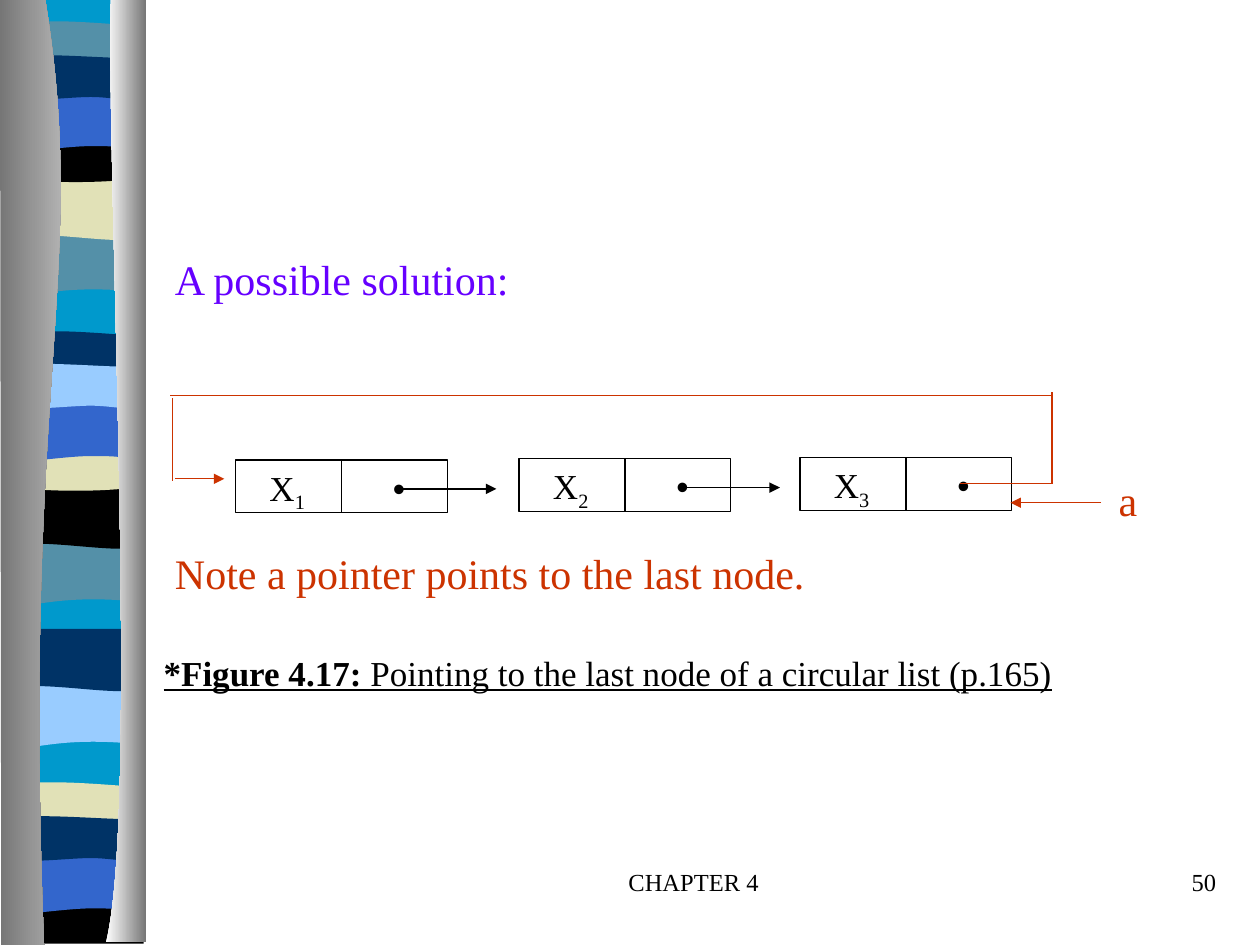
"""Build the slide on pointing to the last node of a circular list."""
from lxml.etree import SubElement
from pptx import Presentation
from pptx.dml.color import RGBColor
from pptx.enum.shapes import MSO_CONNECTOR, MSO_SHAPE
from pptx.enum.text import PP_ALIGN
from pptx.oxml.ns import qn
from pptx.util import Inches, Pt

COLORS = {
    "black": "000000", "red": "CC3300", "violet": "6600FF", "cyan": "0099CC",
    "teal": "5490A8", "sand": "E1E1B7", "blue": "3366CC", "navy": "003366",
    "sky": "99CCFF", "white": "FFFFFF", "gray": "767676", "silver": "CDCDCD",
}
SERIF = "Times New Roman"
LEFT, RIGHT = 0.06, 1.14

OUTLINES = {
    "backdrop": [(RIGHT, 0), (RIGHT, 7.48), (LEFT, 7.48), (LEFT, 0)],
    "swell": [(RIGHT, 0), (RIGHT, 0.47), (0.39, 0.39, 0.24, 0.55, LEFT, 0.47), (LEFT, 0)],
    "ripple": [(RIGHT, 0), (RIGHT, 0.47), (0.96, 0.55, 0.39, 0.41, LEFT, 0.47), (LEFT, 0)],
    "strip": [(RIGHT, 0.05), (RIGHT, 0.29), (0.96, 0.33, 0.24, 0.33, LEFT, 0.29), (LEFT, 0.05),
              (0.12, 0, 0.29, 0.01, 0.47, 0.01), (0.65, 0.01, 1, 0.04, RIGHT, 0.05)],
    "bowl": [(RIGHT, 0), (RIGHT, 0.32), (0.96, 0.38, 0.24, 0.38, LEFT, 0.32), (LEFT, 0),
             (0.72, 0.05, 0.91, 0, RIGHT, 0)],
    "floor": [(RIGHT, 0), (RIGHT, 0.37), (LEFT, 0.37), (LEFT, 0), (0.72, 0.05, 0.91, 0, RIGHT, 0)],
    "arch": [(RIGHT, 0), (RIGHT, 0.47), (0.97, 0.42, 0.9, 0.42, 0.72, 0.42),
             (0.54, 0.42, 0.22, 0.47, LEFT, 0.47), (LEFT, 0)],
    "wave": [(RIGHT, 0.05), (RIGHT, 0.36), (1.07, 0.41, 0.9, 0.36, 0.72, 0.36),
             (0.54, 0.36, 0.17, 0.41, LEFT, 0.36), (LEFT, 0.05),
             (0.21, 0, 0.79, 0.05, 0.97, 0.05), (1.15, 0.05, 1.1, 0.05, RIGHT, 0.05)],
    "left curtain": [(0.36, 0), (0.71, 2.17, 0.17, 2.97, 0.35, 7.5), (0.01, 7.5), (0, 0)],
    "right curtain": [(0.88, 0), (0.84, 1.26, 1.11, 6.47, 0.84, 7.48), (1.16, 7.48), (1.16, 0)],
}
BANDS = [
    ("backdrop", -0.01, "cyan"),
    ("swell", 1.85, "teal"), ("ripple", 1.41, "sand"), ("strip", 0.16, "teal"),
    ("bowl", 1.08, "black"), ("arch", 0.74, "blue"), ("wave", 0.41, "navy"),
    ("swell", 4.31, "teal"), ("ripple", 3.86, "black"), ("strip", 2.62, "navy"),
    ("bowl", 3.53, "sand"), ("arch", 3.2, "blue"), ("wave", 2.86, "sky"),
    ("swell", 5.44, "sky"), ("ripple", 4.99, "navy"), ("strip", 6.2, "sand"),
    ("floor", 7.12, "black"), ("arch", 6.79, "blue"), ("wave", 6.45, "navy"),
]
CURTAINS = [("left curtain", "gray", "silver"), ("right curtain", "white", "gray")]

NODES = [("1", 1.87, 3.65, True), ("2", 4.12, 3.64, True), ("3", 6.35, 3.63, False)]
NODE_WIDTH, NODE_HEIGHT = 1.68, 0.42
RED_LINES = [
    (7.62, 3.84, 8.35, 3.84, False), (8.35, 3.84, 8.35, 3.11, False),
    (8.35, 3.14, 1.35, 3.14, False), (1.37, 3.16, 1.37, 3.82, False),
    (1.39, 3.8, 1.78, 3.8, True), (8.74, 3.99, 8.02, 3.99, True),
]
TEXTS = [
    ((3.92, 6.83, 3.17, 0.5), "black", 14, PP_ALIGN.CENTER, [("CHAPTER 4", {})]),
    ((7.67, 6.83, 2.08, 0.5), "black", 14, PP_ALIGN.RIGHT, [("50", {})]),
    ((8.78, 3.72, 0.35, 0.5), "red", 24, PP_ALIGN.LEFT, [("a", {})]),
    ((1.2, 5.12, 7.28, 0.44), "black", 20, PP_ALIGN.LEFT, [
        ("*Figure 4.17: ", {"bold": True, "underline": True}),
        ("Pointing to the last node of a circular list (p.165)", {"underline": True})]),
    ((1.29, 1.96, 2.88, 0.5), "violet", 24, PP_ALIGN.LEFT, [("A possible solution:", {})]),
    ((1.29, 4.3, 5.22, 0.5), "red", 24, PP_ALIGN.LEFT,
     [("Note a pointer points to the last node.", {})]),
]


def color(name):
    return RGBColor.from_string(COLORS[name])


def add_outline(shapes, name, top):
    outline = OUTLINES[name]
    points = [(Inches(segment[i]), Inches(top + segment[i + 1]))
              for segment in outline for i in range(0, len(segment), 2)]
    builder = shapes.build_freeform(*points[0])
    builder.add_line_segments(points[1:], close=True)
    shape = builder.convert_to_shape()
    steps = iter(list(shape._element.iter(qn("a:lnTo"))))
    for segment in outline[1:]:
        step = next(steps)
        if len(segment) == 6:
            curve = step.makeelement(qn("a:cubicBezTo"))
            step.addprevious(curve)
            for control in (step, next(steps), next(steps)):
                curve.append(control[0])
                control.getparent().remove(control)
    shape.shadow.inherit = False
    shape.line.fill.background()
    return shape


def add_side_panel(shapes):
    for name, top, fill in BANDS:
        shape = add_outline(shapes, name, top)
        shape.fill.solid()
        shape.fill.fore_color.rgb = color(fill)
    for name, start, end in CURTAINS:
        shape = add_outline(shapes, name, 0)
        shape.fill.gradient()
        shape.fill.gradient_angle = 0
        for stop, stop_color in zip(shape.fill.gradient_stops, (start, end)):
            stop.color.rgb = color(stop_color)


def add_line(shapes, start_x, start_y, end_x, end_y, line_color, arrow=False):
    connector = shapes.add_connector(
        MSO_CONNECTOR.STRAIGHT, *map(Inches, (start_x, start_y, end_x, end_y)))
    connector.line.color.rgb = color(line_color)
    connector.line.width = Pt(0.75)
    if arrow:
        SubElement(connector.line._get_or_add_ln(), qn("a:tailEnd"), type="triangle")
    SubElement(connector._element.spPr, qn("a:effectLst"))
    return connector


def add_text(shapes, box, text_color, size, alignment, runs, tab=None):
    frame = shapes.add_textbox(*map(Inches, box)).text_frame
    frame.word_wrap = True
    paragraph = frame.paragraphs[0]
    paragraph.alignment = alignment
    if tab:
        tabs = SubElement(paragraph._p.get_or_add_pPr(), qn("a:tabLst"))
        SubElement(tabs, qn("a:tab"), pos=str(Inches(tab)), algn="l")
    for text, changes in runs:
        run = paragraph.add_run()
        run.text = text
        run.font.color.rgb = color(text_color)
        for key, value in {"name": SERIF, "size": Pt(size), **changes}.items():
            setattr(run.font, key, value)
    return paragraph


def add_node(shapes, index, left, top, linked):
    node = shapes.add_shape(
        MSO_SHAPE.RECTANGLE, *map(Inches, (left, top, NODE_WIDTH, NODE_HEIGHT)))
    node.shadow.inherit = False
    node.fill.background()
    node.line.color.rgb = color("black")
    node.line.width = Pt(0.75)
    middle = left + NODE_WIDTH / 2
    divider = add_line(shapes, middle, top, middle, top + NODE_HEIGHT, "black")
    divider.begin_connect(node, 0)
    divider.end_connect(node, 2)
    runs = [("X", {}), (f"{index}\t", {}), ("•", {"name": "Arial"})]
    label = add_text(shapes, (left + 0.17, top, 1.3, 0.48), "black", 20, PP_ALIGN.LEFT, runs, 0.98)
    label.runs[1].font._element.set("baseline", "-25000")
    if linked:
        add_line(shapes, left + 1.29, top + 0.23, left + 2.07, top + 0.23, "black", True)


def main():
    presentation = Presentation()
    presentation.slide_width, presentation.slide_height = Inches(10), Inches(7.5)
    slide = presentation.slides.add_slide(presentation.slide_layouts[6])
    add_side_panel(slide.shapes.add_group_shape().shapes)
    for index, left, top, linked in NODES:
        shapes = slide.shapes.add_group_shape().shapes if linked else slide.shapes
        add_node(shapes, index, left, top, linked)
    for *ends, arrow in RED_LINES:
        add_line(slide.shapes, *ends, "red", arrow)
    for text in TEXTS:
        add_text(slide.shapes, *text)
    presentation.save("out.pptx")


if __name__ == "__main__":
    main()
